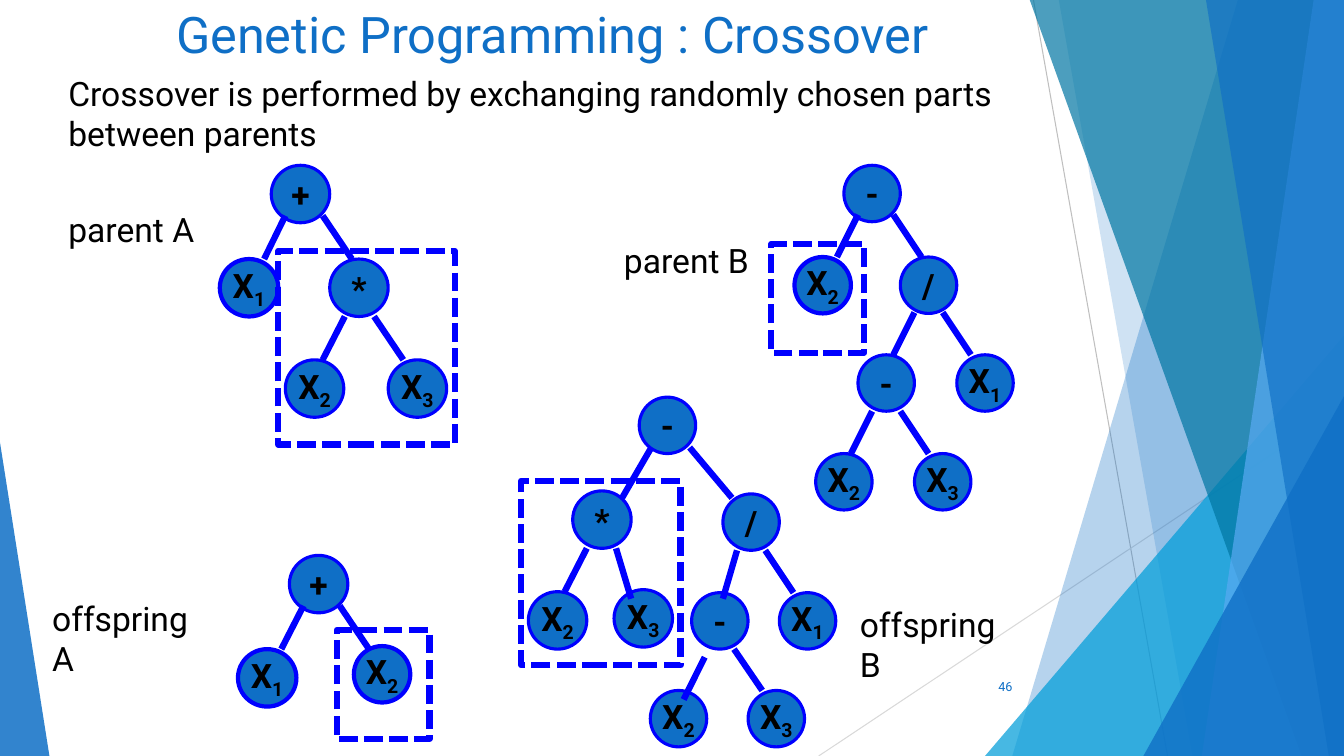
import pptx
import pptx.util
import pptx.dml.color
import pptx.enum.dml
import pptx.enum.shapes
import pptx.enum.text
import pptx.oxml.ns
from lxml import etree

PX = 9144  # 100 px to the inch
WIDTH, HEIGHT = 1333, 750
FONT = "Roboto"
COLORS = {"blue": "0F6FC6", "ink": "0000FF", "text": "000000", "cyan": "009DD9",
          "teal": "0076A3", "sky": "59AAF2", "gray": "BFBFBF", "pale": "D9D9D9"}

# Background: lines, then polygons (points) and triangles (box, apex) from back to front
RAYS = [((1025, 0, 1158, 750), "gray"), ((1333, 403, 812, 750), "pale")]
FACETS = [
    ("polygon", [(1228, -1), (1333, -1), (1333, 750), (1004, 750)], "blue", 30),
    ("polygon", [(1050, -1), (1333, -1), (1333, 750), (1183, 750)], "blue", 20),
    ("triangle", ((977, 333, 356, 417), 1), "cyan", 72),
    ("polygon", [(1021, -1), (1333, -1), (1333, 750), (1291, 750)], "teal", 70),
    ("polygon", [(1303, -1), (1333, -1), (1333, 750), (1192, 750)], "sky", 70),
    ("polygon", [(1196, -1), (1333, -1), (1333, 750), (1318, 750)], "blue", 65),
    ("triangle", ((1134, 393, 199, 357), 1), "blue", 80),
    ("triangle", ((0, 439, 49, 311), 0), "blue", 85),
]

# Nodes: label, left, top, width, height, outline in points. Edges: x1, y1, x2, y2.
BIG, SMALL = (58, 57), (56, 56)
THIN, THICK, EDGE = 2.25, 3, 4.5
TREES = [
    {"name": "parent A",
     "nodes": [("+", 269, 164, *BIG, THIN), ("*", 327, 257, *BIG, THIN),
               ("X3", 385, 357, *BIG, THIN), ("X2", 283, 357, *BIG, THIN),
               ("X1", 218, 257, *BIG, THICK)],
     "edges": [(283, 214, 262, 257), (320, 214, 349, 257),
               (371, 314, 400, 357), (342, 314, 320, 357)],
     "swapped": (276, 249, 175, 192), "caption": (58, 202, 146, 50)},
    {"name": "parent B",
     "nodes": [("-", 837, 164, *SMALL, THIN), ("/", 893, 255, *SMALL, THIN),
               ("X1", 949, 352, *SMALL, THIN), ("-", 851, 352, *SMALL, THIN),
               ("X2", 788, 255, *SMALL, THICK), ("X3", 907, 450, *SMALL, THIN),
               ("X2", 809, 450, *SMALL, THIN)],
     "edges": [(851, 213, 830, 255), (886, 213, 914, 255), (935, 310, 963, 352),
               (907, 310, 886, 352), (893, 408, 921, 450), (865, 408, 844, 450)],
     "swapped": (765, 242, 92, 108), "caption": (609, 233, 145, 50)},
    {"name": "offspring A",
     "nodes": [("+", 287, 551, *BIG, THIN), ("X1", 236, 644, *BIG, THICK),
               ("X2", 351, 641, *SMALL, THICK)],
     "edges": [(301, 601, 279, 644), (337, 601, 366, 644)],
     "swapped": (334, 625, 92, 108), "caption": (42, 588, 160, 90)},
    {"name": "offspring B",
     "nodes": [("*", 568, 487, *BIG, THIN), ("X3", 609, 585, *BIG, THIN),
               ("X2", 524, 587, *BIG, THIN), ("-", 634, 394, *SMALL, THIN),
               ("/", 717, 490, *SMALL, THIN), ("X1", 773, 588, *SMALL, THIN),
               ("-", 686, 588, *SMALL, THIN), ("X3", 742, 685, *SMALL, THIN),
               ("X2", 645, 685, *SMALL, THIN)],
     "edges": [(611, 544, 626, 594), (582, 544, 560, 587), (646, 444, 617, 494),
               (684, 444, 726, 494), (759, 546, 787, 588), (731, 546, 717, 594),
               (728, 644, 756, 685), (699, 652, 678, 694)],
     "swapped": (517, 477, 158, 183), "caption": (843, 594, 160, 90)},
]

ALIGN = pptx.enum.text.PP_ALIGN
ANCHOR = pptx.enum.text.MSO_ANCHOR
SHAPES = pptx.enum.shapes.MSO_SHAPE
TITLE = {"lines": ["Genetic Programming : Crossover"], "box": (123, 4, 850, 58),
         "size": 36, "color": "blue", "align": ALIGN.CENTER, "anchor": ANCHOR.MIDDLE}
INTRO = {"lines": ["Crossover is performed by exchanging randomly chosen parts",
                   "between parents"], "box": (58, 67, 956, 91)}
NUMBER = {"lines": ["46"], "box": (939, 661, 75, 40), "size": 9, "color": "blue",
          "align": ALIGN.RIGHT, "anchor": ANCHOR.MIDDLE}


def emu(lengths):
    return [length * PX for length in lengths]


def rgb(name):
    return pptx.dml.color.RGBColor.from_string(COLORS[name])


def add_span(para, text, size=24, color="text", bold=False):
    span = para.add_run()
    span.text = text
    for key, value in {"name": FONT, "size": pptx.util.Pt(size), "bold": bold}.items():
        setattr(span.font, key, value)
    span.font.color.rgb = rgb(color)
    return span


def add_text(slide, lines, box, size=24, color="text", align=ALIGN.LEFT, anchor=ANCHOR.TOP):
    frame = slide.shapes.add_textbox(*emu(box)).text_frame
    frame.word_wrap = True
    frame.vertical_anchor = anchor
    for index, line in enumerate(lines):
        para = frame.add_paragraph() if index else frame.paragraphs[0]
        para.alignment = align
        add_span(para, line, size, color)


def paint(shape, color, opacity=100):
    shape.shadow.inherit = False
    shape.fill.solid()
    shape.fill.fore_color.rgb = rgb(color)
    if opacity < 100:
        tint = shape.fill._xPr.find(".//" + pptx.oxml.ns.qn("a:srgbClr"))
        etree.SubElement(tint, pptx.oxml.ns.qn("a:alpha"), val=str(opacity * 1000))


def outline(shape, color, points):
    shape.line.color.rgb = rgb(color)
    shape.line.width = pptx.util.Pt(points)


def add_line(slide, ends, color, points):
    line = slide.shapes.add_connector(pptx.enum.shapes.MSO_CONNECTOR.STRAIGHT, *emu(ends))
    outline(line, color, points)
    etree.SubElement(line._element.spPr, pptx.oxml.ns.qn("a:effectLst"))


def add_facet(slide, kind, outline_data, color, opacity):
    if kind == "polygon":
        builder = slide.shapes.build_freeform(*outline_data[0], scale=PX)
        builder.add_line_segments(outline_data[1:], close=True)
        facet = builder.convert_to_shape()
    else:
        box, apex = outline_data
        facet = slide.shapes.add_shape(SHAPES.ISOSCELES_TRIANGLE, *emu(box))
        facet.adjustments[0] = apex
    paint(facet, color, opacity)
    facet.line.fill.background()


def add_node(slide, label, left, top, width, height, points):
    node = slide.shapes.add_shape(SHAPES.OVAL, *emu((left, top, width, height)))
    paint(node, "blue")
    outline(node, "ink", points)
    frame = node.text_frame
    frame.word_wrap = False
    frame.vertical_anchor = ANCHOR.MIDDLE
    para = frame.paragraphs[0]
    para.alignment = ALIGN.CENTER
    add_span(para, label[0], bold=True)
    if label[1:]:
        subscript = add_span(para, label[1:], bold=True)
        subscript._r.get_or_add_rPr().set("baseline", "-25000")


def add_tree(slide, tree):
    for node in tree["nodes"]:
        add_node(slide, *node)
    for edge in tree["edges"]:
        add_line(slide, edge, "ink", EDGE)
    swapped = slide.shapes.add_shape(SHAPES.RECTANGLE, *emu(tree["swapped"]))
    swapped.shadow.inherit = False
    swapped.fill.background()
    outline(swapped, "ink", EDGE)
    swapped.line.dash_style = pptx.enum.dml.MSO_LINE.SQUARE_DOT
    add_text(slide, [tree["name"]], tree["caption"])


def main():
    deck = pptx.Presentation()
    deck.slide_width, deck.slide_height = emu((WIDTH, HEIGHT))
    slide = deck.slides.add_slide(deck.slide_layouts[6])
    for ends, color in RAYS:
        add_line(slide, ends, color, 0.75)
    for facet in FACETS:
        add_facet(slide, *facet)
    for tree in TREES:
        add_tree(slide, tree)
    for text in (TITLE, INTRO, NUMBER):
        add_text(slide, **text)
    deck.save("out.pptx")


if __name__ == "__main__":
    main()
